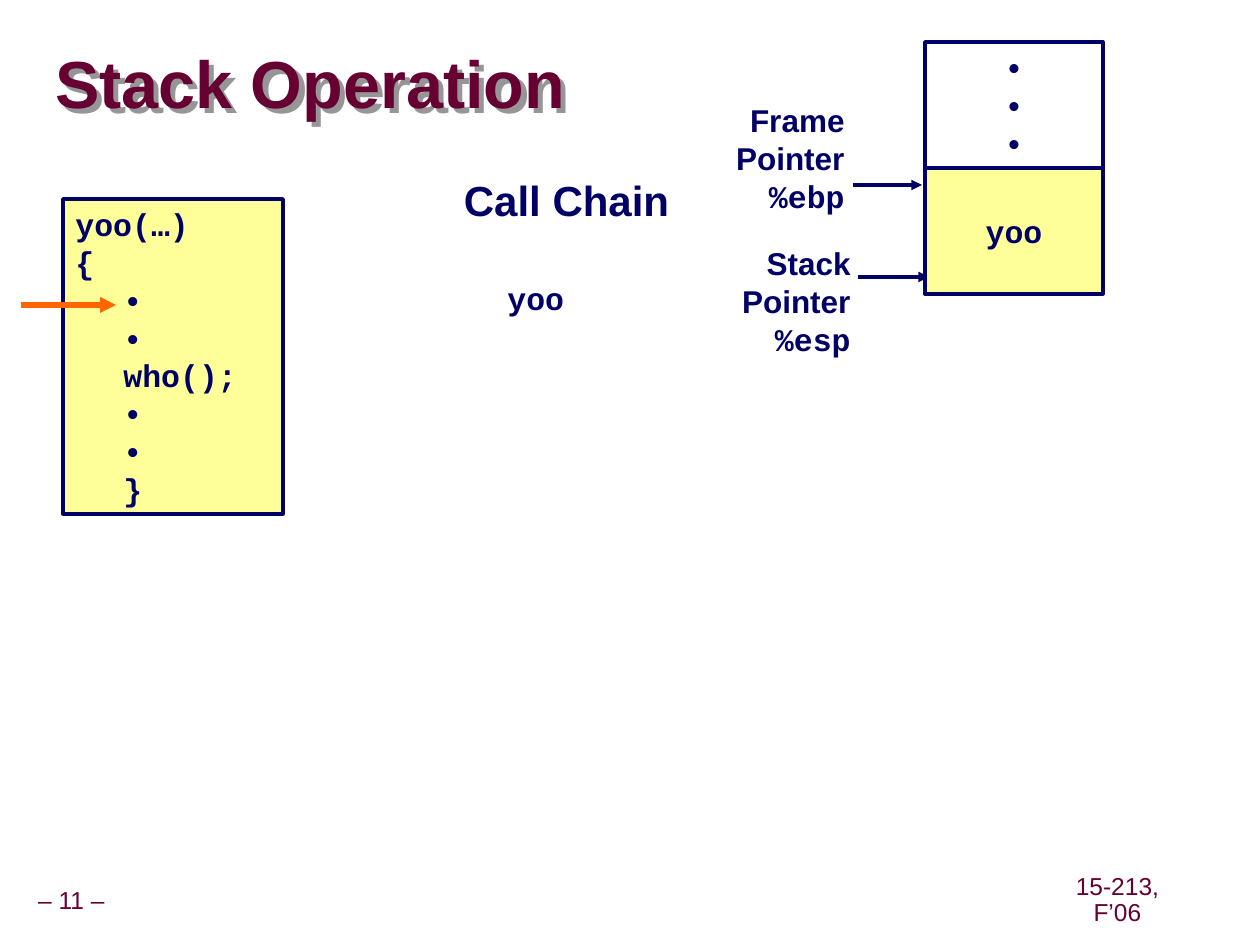
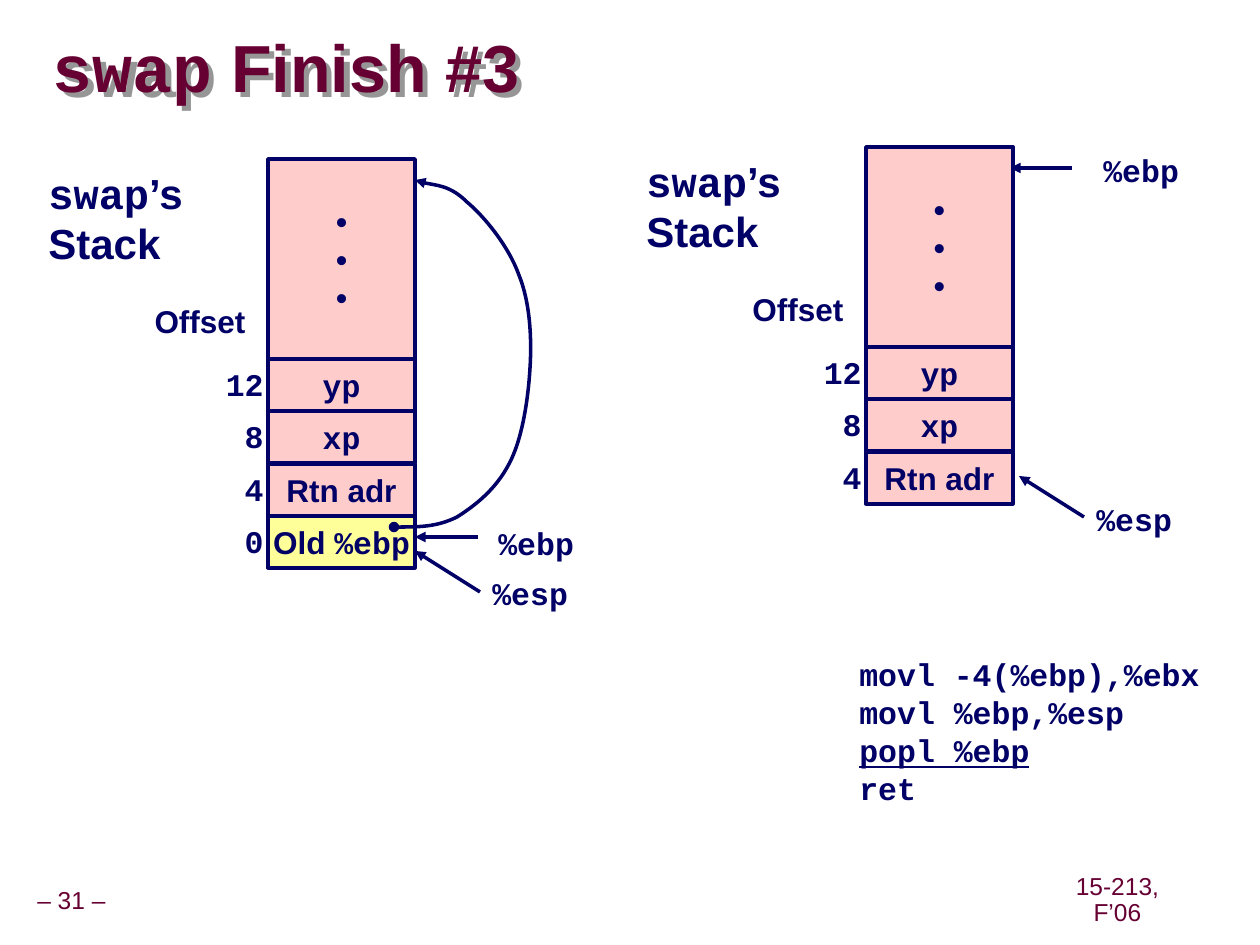
from lxml import etree
from pptx import Presentation, util as u
from pptx.dml.color import RGBColor
from pptx.enum import shapes, text
from pptx.oxml.ns import qn

PX = 914400 / 126
SANS, MONO = "Arial", "Courier New"
NAVY, WINE, ORANGE = "000066", "660033", "FF6600"
PINK, YELLOW, WHITE, GRAY = "FFCCCC", "FFFF99", "FFFFFF", "969696"
LEFT, MID, RIGHT = text.PP_ALIGN.LEFT, text.PP_ALIGN.CENTER, text.PP_ALIGN.RIGHT
hue = RGBColor.from_string


def box(slide, place, rows, fill=None, size=18, color=NAVY, bold=True,
        align=LEFT, anchor=text.MSO_ANCHOR.TOP, wrap=False, gap=None):
    """Write rows in a text box, or in a rectangle if filled; `backticks` mark code."""
    place = [u.Emu(round(n * PX)) for n in place]
    if fill:
        item = slide.shapes.add_shape(shapes.MSO_SHAPE.RECTANGLE, *place)
        item.shadow.inherit = False
        item.fill.solid()
        item.fill.fore_color.rgb = hue(fill)
        item.line.color.rgb = hue(NAVY)
        item.line.width = u.Pt(2)
    else:
        item = slide.shapes.add_textbox(*place)
    frame = item.text_frame
    frame.word_wrap = wrap
    frame.vertical_anchor = anchor
    for n, row in enumerate(rows):
        para = frame.add_paragraph() if n else frame.paragraphs[0]
        para.alignment = align
        para.line_spacing = gap or u.Pt(size * 1.2)
        para.font.size = u.Pt(size)
        para.font.bold = bold
        para.font.color.rgb = hue(color)
        parts = [(part, (SANS, MONO)[i % 2])
                 for i, part in enumerate(row.split("`")) if part]
        for part, font in parts:
            run = para.add_run()
            run.text = part
            if len(parts) > 1:
                run.font.name = font
        if len(parts) == 1:
            para.font.name = parts[0][1]
    return item


def arrow(slide, x1, y1, x2, y2, color=NAVY, width=2):
    ends = [u.Emu(round(n * PX)) for n in (x1, y1, x2, y2)]
    line = slide.shapes.add_connector(shapes.MSO_CONNECTOR.STRAIGHT, *ends)
    line.line.color.rgb = hue(color)
    line.line.width = u.Pt(width)
    etree.SubElement(line._element.xpath(".//a:ln")[0], qn("a:tailEnd"), type="triangle")
    etree.SubElement(line._element.spPr, qn("a:effectLst"))


deck = Presentation()
deck.slide_width, deck.slide_height = u.Inches(10), u.Inches(7.5)
center = text.MSO_ANCHOR.MIDDLE

# Shared title and footers
pages = []
for title, place, number in (
        ("Stack Operation", (55, 34, 1201, 107), 11),
        ("`swap` Finish #3", (53, 32, 808, 79), 31)):
    page = deck.slides.add_slide(deck.slide_layouts[6])
    pages.append(page)
    for note, spot in ((f"– {number} –", (-11, 882, 165, 39)),
                       ("15-213, F’06", (1042, 881, 151, 39))):
        box(page, spot, [note], size=14, color=WINE, bold=False, align=MID,
            anchor=center, gap=0.9)
    head = box(page, place, [title], size=38, color=WINE, anchor=center, wrap=True, gap=0.87)
    frame = head.text_frame
    frame.margin_left = frame.margin_right = frame.margin_top = frame.margin_bottom = 0
    glow = etree.SubElement(head._element.spPr, qn("a:effectLst"))
    shade = etree.SubElement(glow, qn("a:outerShdw"), dist="53882", dir="2700000", algn="ctr")
    etree.SubElement(shade, qn("a:srgbClr"), val=GRAY)

# Stack Operation
page = pages[0]
for x, y, name, reg, start, end, level in (
        (729, 238, "Stack", "%esp", 858, 929, 277),
        (723, 95, "Frame", "%ebp", 853, 922, 185)):
    arrow(page, start, level, end, level)
    box(page, (x, y, 134, 126), [name, "Pointer", f"`{reg}`"], align=RIGHT)
box(page, (925, 168, 178, 126), ["`yoo`"], YELLOW, align=MID, anchor=center)
box(page, (925, 42, 178, 126), ["`•`"] * 3, WHITE, align=MID)
box(page, (495, 273, 83, 50), ["`yoo`"])
box(page, (451, 168, 231, 63), ["Call Chain"], size=24, align=MID)
code = ["yoo(…)", "{", "•", "•", "who();", "•", "•", "}"]
proc = box(page, (63, 199, 220, 315), [f"`{row}`" for row in code], YELLOW, wrap=True)
for para in proc.text_frame.paragraphs[2:]:
    para._p.get_or_add_pPr().set("marL", str(round(48 * PX)))
arrow(page, 21, 305, 116, 305, ORANGE, 3)

# swap Finish: stack before and after popl
page = pages[1]
for ends in ((1072, 168, 1010, 168), (1084, 517, 1019, 476),
             (478, 537, 415, 537), (480, 592, 415, 551)):
    arrow(page, *ends)
for x, y, reg in ((1091, 145, "%ebp"), (1084, 494, "%esp"),
                  (486, 518, "%ebp"), (480, 568, "%esp")):
    box(page, (x, y, 101, 50), [f"`{reg}`"])

cells = [("12", "`yp`", PINK), ("8", "`xp`", PINK),
         ("4", "Rtn adr", PINK), ("0", "Old `%ebp`", YELLOW)]
for x, y, count in ((268, 159, 4), (866, 147, 3)):
    box(page, (x - 232, y + 2, 161, 113), ["`swap`’s", "Stack"], size=24)
    box(page, (x - 126, y + 137, 116, 50), ["Offset"], align=RIGHT)
    for n, (offset, label, fill) in enumerate(cells[:count]):
        top = y + 200 + 105 * n // 2
        box(page, (x, top, 147, 52), [label], fill, align=MID, anchor=center)
        box(page, (x - 74, top, 82, 50), [f"`{offset}`"], align=RIGHT)
    box(page, (x, y, 147, 200), ["•"] * 3, PINK, align=MID, anchor=center)

# Saved frame pointer: three points to each Bézier segment
bend = [(416, 527), (437, 527), (457, 517), (476, 505), (496, 489), (509, 464),
        (522, 440), (528, 401), (530, 369), (532, 338), (530, 302), (519, 275),
        (509, 247), (485, 217), (467, 202), (450, 185), (423, 184), (415, 180)]
draft = page.shapes.build_freeform(394, 527, scale=PX)
draft.add_line_segments(bend, close=False)
link = draft.convert_to_shape()
link.shadow.inherit = False
link.fill.background()
link.line.color.rgb = hue(NAVY)
link.line.width = u.Pt(2)
legs = link._element.xpath(".//a:lnTo")
for first, *rest in zip(legs[::3], legs[1::3], legs[2::3]):
    first.tag = qn("a:cubicBezTo")
    for leg in rest:
        first.append(leg[0])
        leg.getparent().remove(leg)
edge = link._element.xpath(".//a:ln")[0]
etree.SubElement(edge, qn("a:headEnd"), type="oval")
etree.SubElement(edge, qn("a:tailEnd"), type="triangle")

steps = ["movl -4(%ebp),%ebx", "movl %ebp,%esp", "popl %ebp", "ret"]
asm = box(page, (847, 649, 368, 164), [f"`{step}`" for step in steps], wrap=True)
asm.text_frame.paragraphs[2].font.underline = True

deck.save("out.pptx")
